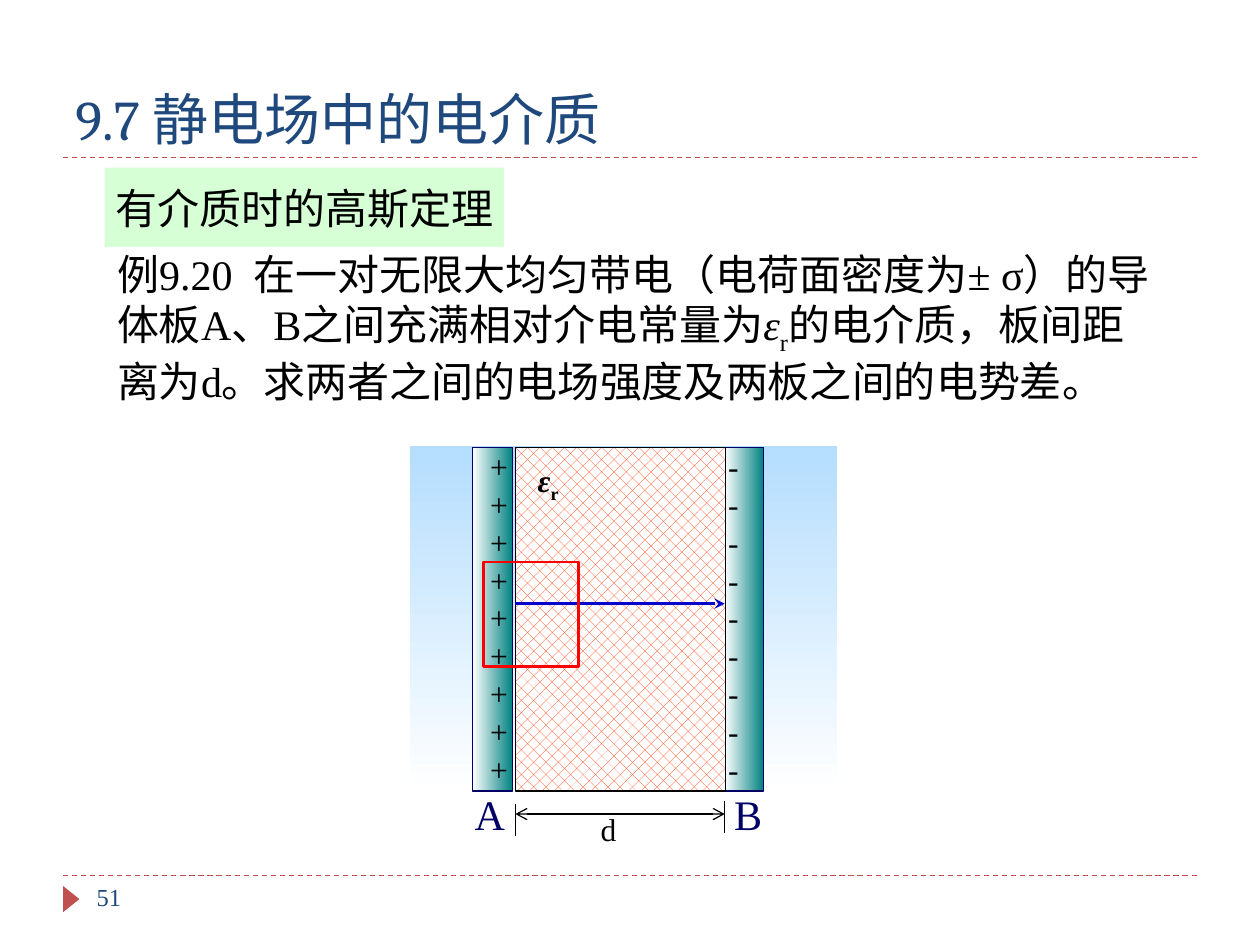
from dataclasses import dataclass

from lxml import etree
from pptx import Presentation
from pptx import util as u
from pptx.dml.color import RGBColor
from pptx.enum import dml, shapes, text
from pptx.oxml.ns import qn


@dataclass
class Theme:
    black: RGBColor = RGBColor.from_string("000000")
    white: RGBColor = RGBColor.from_string("FFFFFF")
    heading: RGBColor = RGBColor.from_string("1F497D")
    accent: RGBColor = RGBColor.from_string("C0504D")
    label: RGBColor = RGBColor.from_string("CCFFCC")
    sky: RGBColor = RGBColor.from_string("B4DDFE")
    plate: RGBColor = RGBColor.from_string("008080")
    outline: RGBColor = RGBColor.from_string("000066")
    dielectric: RGBColor = RGBColor.from_string("FF3300")
    field: RGBColor = RGBColor.from_string("0000CC")
    gauss: RGBColor = RGBColor.from_string("FF0000")
    title_size: int = 32
    body_size: int = 24
    symbol_size: int = 18
    number_size: int = 14
    serif: str = "Times New Roman"
    sans: str = "Arial"
    title_font: str = "Cambria"


theme = Theme()
presentation = Presentation()
presentation.slide_width, presentation.slide_height = u.Cm(25.4), u.Cm(19.05)
slide = presentation.slides.add_slide(presentation.slide_layouts[6])


def add_text(box, paragraphs, size, color, font=theme.serif, wrap=False, grow=True,
             anchor=text.MSO_ANCHOR.TOP):
    shape = slide.shapes.add_textbox(*map(u.Cm, box))
    frame = shape.text_frame
    frame.text = "\n".join(paragraphs)
    frame.word_wrap = wrap
    frame.vertical_anchor = anchor
    frame.auto_size = text.MSO_AUTO_SIZE.SHAPE_TO_FIT_TEXT if grow else text.MSO_AUTO_SIZE.NONE
    for paragraph in frame.paragraphs:
        paragraph.font.size = u.Pt(size)
        for run in paragraph.runs:
            run.font.size, run.font.name = u.Pt(size), font
            run.font.color.rgb = color
    return shape


def add_line(start, end, color, width=0.75, dash=None, head=None, tail=None):
    line = slide.shapes.add_connector(shapes.MSO_CONNECTOR.STRAIGHT, *map(u.Cm, start + end))
    line.line.color.rgb = color
    line.line.width = u.Pt(width)
    if dash:
        line.line.dash_style = dash
    properties = line._element.spPr
    outline = properties.find(qn("a:ln"))
    for tag, arrow in (("a:headEnd", head), ("a:tailEnd", tail)):
        if arrow:
            etree.SubElement(outline, qn(tag), type=arrow)
    etree.SubElement(properties, qn("a:effectLst"))


for y in (17.65, 3.18):
    add_line((1.27, y), (24.13, y), theme.accent, dash=dml.MSO_LINE.DASH)

marker = slide.shapes.add_shape(
    shapes.MSO_SHAPE.ISOSCELES_TRIANGLE, u.Cm(1.17), u.Cm(17.96), u.Cm(0.53), u.Cm(0.33))
marker.rotation = 90
marker.shadow.inherit = False
marker.fill.solid()
marker.fill.fore_color.rgb = theme.accent
marker.line.fill.background()

add_text((1.27, 0.64, 22.86, 2.54), ["9.7 静电场中的电介质"], theme.title_size, theme.heading,
         theme.title_font, wrap=True, grow=False, anchor=text.MSO_ANCHOR.BOTTOM)
add_text((1.7, 17.65, 5.51, 1.02), ["51"], theme.number_size, theme.heading,
         wrap=True, grow=False)

section = add_text((2.11, 3.38, 8.05, 1.6), ["有介质时的高斯定理"], theme.body_size, theme.black,
                   theme.sans, grow=False, anchor=text.MSO_ANCHOR.MIDDLE)
section.text_frame.paragraphs[0].alignment = text.PP_ALIGN.CENTER
section.fill.solid()
section.fill.fore_color.rgb = theme.label
section_color = section._element.spPr.find(qn("a:solidFill"))[0]
etree.SubElement(section_color, qn("a:alpha"), val="80000")

problem = add_text(
    (2.11, 4.88, 21.59, 3.33),
    ["例9.20  在一对无限大均匀带电（电荷面密度为± σ）的导体板A、B之间充满相对介电常量为"],
    theme.body_size, theme.black, wrap=True)
permittivity = add_text((10.59, 9.22, 1.07, 1.02), [""], theme.symbol_size, theme.black,
                        wrap=True, anchor=text.MSO_ANCHOR.MIDDLE)
problem_end = "的电介质，板间距离为d。求两者之间的电场强度及两板之间的电势差。"
for shape, parts, size, bold in (
    (problem, ("ε", "r", problem_end), theme.body_size, False),
    (permittivity, ("ε", "r"), theme.symbol_size, True),
):
    for part in parts:
        run = shape.text_frame.paragraphs[0].add_run()
        run.text = part
        run.font.size, run.font.name = u.Pt(size), theme.serif
        run.font.color.rgb = theme.black
        run.font.bold, run.font.italic = bold, part == "ε"
        if part == "r":
            run.font._element.set("baseline", "-25000")

plate_top, plate_height = 9.02, 6.93
left_face, right_face = 10.39, 14.61
for box, start, end, angle, outline in (
    ((8.26, 8.99, 8.61, 6.98), theme.sky, theme.white, 270, None),
    ((9.53, plate_top, 0.81, plate_height), theme.white, theme.plate, 0, theme.outline),
    ((right_face, plate_top, 0.79, plate_height), theme.white, theme.plate, 0, theme.outline),
):
    shape = slide.shapes.add_shape(shapes.MSO_SHAPE.RECTANGLE, *map(u.Cm, box))
    shape.shadow.inherit = False
    shape.fill.gradient()
    shape.fill.gradient_angle = angle
    for stop, color in zip(shape.fill.gradient_stops, (start, end)):
        stop.color.rgb = color
    if outline:
        shape.line.color.rgb = outline
        shape.line.width = u.Pt(0.75)
    else:
        shape.line.fill.background()

dielectric = slide.shapes.add_shape(
    shapes.MSO_SHAPE.RECTANGLE, u.Cm(left_face), u.Cm(plate_top), u.Cm(4.24), u.Cm(plate_height))
dielectric.shadow.inherit = False
dielectric.fill.patterned()
dielectric.fill.pattern = dml.MSO_PATTERN.PERCENT_30
dielectric.fill.fore_color.rgb = theme.dielectric
dielectric.fill.back_color.rgb = theme.white
dielectric.line.color.rgb = theme.black
dielectric.line.width = u.Pt(0.75)
slide.shapes._spTree.append(permittivity._element)

for box, paragraphs, size, color in (
    ((14.55, 15.77, 1.07, 1.27), ["B"], theme.body_size, theme.outline),
    ((9.32, 15.77, 1.12, 1.27), ["A"], theme.body_size, theme.outline),
    ((9.63, 8.89, 0.86, 7.11), ["+"] * 9, theme.symbol_size, theme.black),
    ((14.43, 8.89, 0.71, 7.11), ["-"] * 9, theme.symbol_size, theme.black),
    ((11.86, 16.21, 0.84, 1.02), ["d"], theme.symbol_size, theme.black),
):
    add_text(box, paragraphs, size, color)

add_line((left_face, 12.17), (right_face, 12.17), theme.field, 2, tail="stealth")
for x, y in ((left_face, 16.21), (right_face, 16.15)):
    add_line((x, y), (x, y + 0.64), theme.black)
add_line((left_face, 16.41), (right_face, 16.41), theme.black, head="arrow", tail="arrow")

gauss_surface = slide.shapes.add_shape(
    shapes.MSO_SHAPE.RECTANGLE, u.Cm(9.75), u.Cm(11.33), u.Cm(1.91), u.Cm(2.11))
gauss_surface.shadow.inherit = False
gauss_surface.fill.background()
gauss_surface.line.color.rgb = theme.gauss
gauss_surface.line.width = u.Pt(1.5)

presentation.save("out.pptx")
